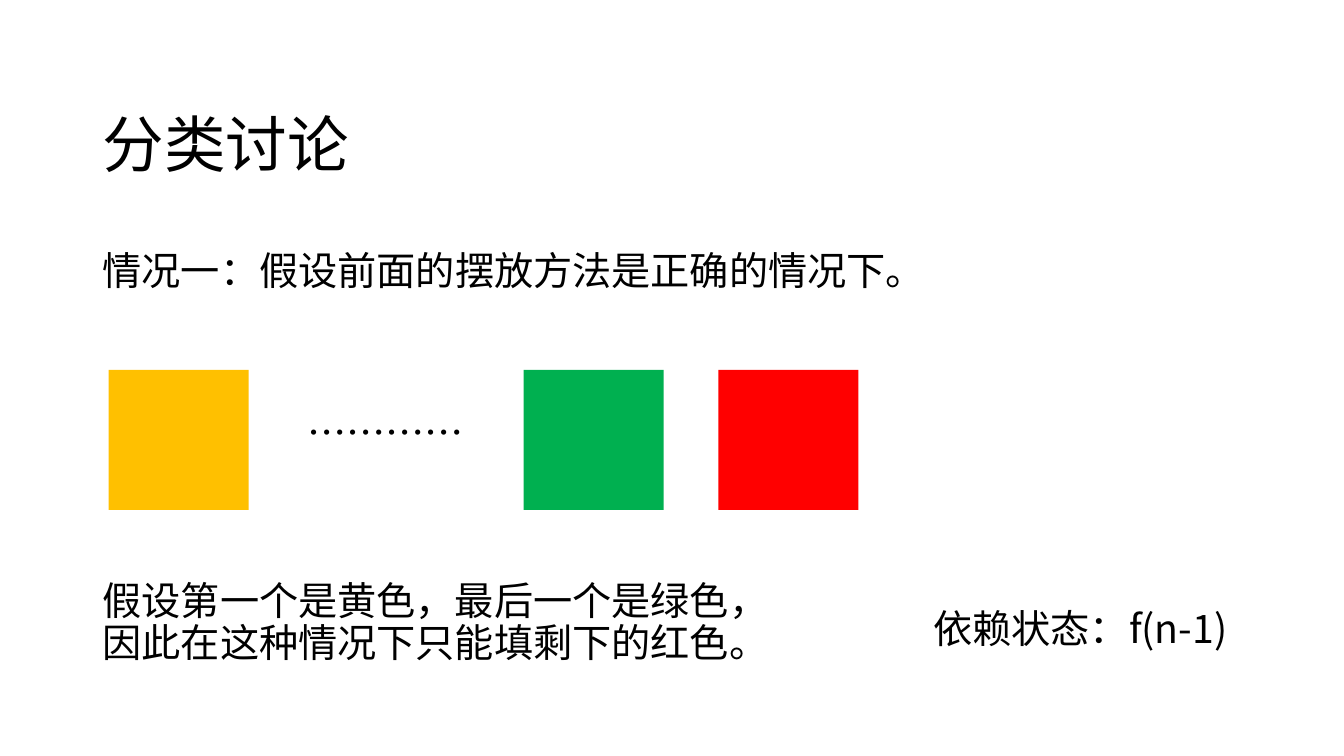
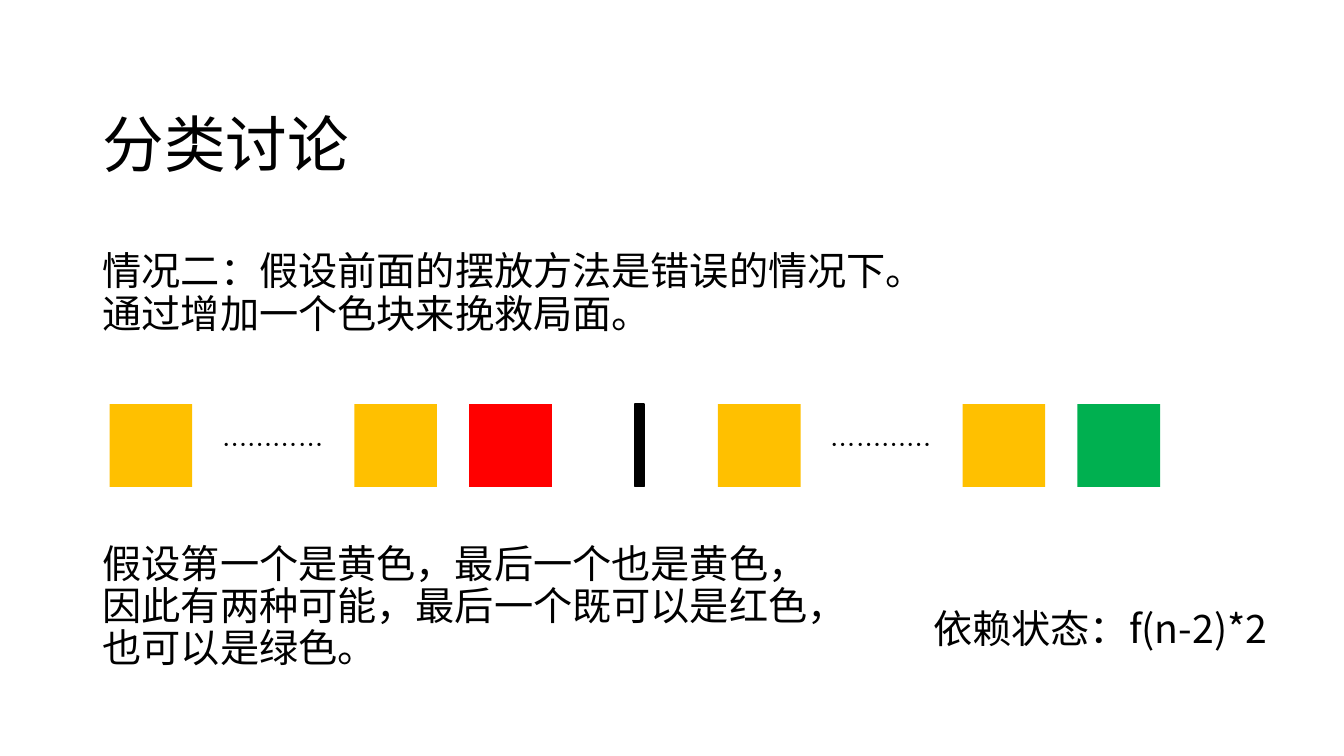
from pptx import Presentation
from pptx.dml.color import RGBColor
from pptx.enum.shapes import MSO_SHAPE
from pptx.enum.text import MSO_ANCHOR, PP_ALIGN
from pptx.oxml.ns import qn
from pptx.util import Inches, Pt
from lxml import etree

SLIDE_W, SLIDE_H = Inches(13.33), Inches(7.5)
FONT = "Noto Sans CJK SC"
BLACK = RGBColor(0, 0, 0)
YELLOW = RGBColor(0xFF, 0xC0, 0x00)
GREEN = RGBColor(0x00, 0xB0, 0x50)
RED = RGBColor(0xFF, 0x00, 0x00)
TITLE_SIZE, BODY_SIZE = 44, 28
MARGIN, FULL_WIDTH = 6.9, 86.25  # percent of the slide width


def x(percent):
    """Share of the slide width, in percent."""
    return round(SLIDE_W * percent / 100)


def y(percent):
    """Share of the slide height, in percent."""
    return round(SLIDE_H * percent / 100)


def add_text(slide, text, left, top, width, height, size=BODY_SIZE,
             space_before=10, anchor=MSO_ANCHOR.TOP, align=PP_ALIGN.LEFT):
    """Add one wrapped paragraph; lengths are EMU."""
    frame = slide.shapes.add_textbox(left, top, width, height).text_frame
    frame.word_wrap = True
    frame.vertical_anchor = anchor
    paragraph = frame.paragraphs[0]
    paragraph.text = text
    paragraph.alignment = align
    paragraph.line_spacing = 0.9
    paragraph.space_before = Pt(space_before)
    paragraph._p.get_or_add_pPr().set("hangingPunct", "1")
    for run in paragraph.runs:
        run.font.size = Pt(size)
        run.font.name = FONT
        run.font.color.rgb = BLACK
        east_asian = etree.SubElement(run.font._element, qn("a:ea"))
        east_asian.set("typeface", FONT)


def add_rect(slide, left, top, width, height, color):
    """Add a plain rectangle without outline; lengths are EMU."""
    rect = slide.shapes.add_shape(MSO_SHAPE.RECTANGLE, left, top, width, height)
    rect.shadow.inherit = False
    rect.fill.solid()
    rect.fill.fore_color.rgb = color
    rect.line.fill.background()
    return rect


def add_block_row(slide, left, top, side, colors, dot_size):
    """Add first block, dots and last two blocks, spaced in block sides."""
    for offset, color in zip((0, 2.96, 4.35), colors):
        add_rect(slide, left + round(offset * side), top, side, side, color)
    add_text(slide, "…………", left + round(0.89 * side), top + round(0.28 * side),
             round(2.17 * side), round(0.44 * side), dot_size,
             align=PP_ALIGN.CENTER)


def add_divider(slide, left, top, width, height):
    """Add the black bar between two alternatives."""
    bar = add_rect(slide, left, top, width, height, BLACK)
    bar.line.color.rgb = BLACK
    bar.line.width = Pt(1)


def add_case(prs, case, note, note_top, note_width, note_height, state):
    """Add a slide with title, case, explanation and dependent state."""
    slide = prs.slides.add_slide(prs.slide_layouts[6])
    add_text(slide, "分类讨论", x(MARGIN), y(9.87), x(FULL_WIDTH), y(19.33),
             TITLE_SIZE, space_before=0, anchor=MSO_ANCHOR.MIDDLE)
    add_text(slide, case, x(MARGIN), y(32.67), x(FULL_WIDTH), y(15.47))
    add_text(slide, note, x(MARGIN), y(note_top), x(note_width), y(note_height))
    add_text(slide, "依赖状态：" + state, x(68.7), y(80), x(28.5), y(10.5))
    return slide


def main():
    """Build both cases and save the presentation."""
    prs = Presentation()
    prs.slide_width, prs.slide_height = SLIDE_W, SLIDE_H

    correct = add_case(
        prs, "情况一：假设前面的摆放方法是正确的情况下。",
        "假设第一个是黄色，最后一个是绿色，因此在这种情况下只能填剩下的红色。",
        76.27, 52.65, 15.47, "f(n-1)")
    add_block_row(correct, x(8.08), y(48.93), x(10.43),
                  (YELLOW, GREEN, RED), BODY_SIZE)

    wrong = add_case(
        prs, "情况二：假设前面的摆放方法是错误的情况下。\v通过增加一个色块来挽救局面。",
        "假设第一个是黄色，最后一个也是黄色，因此有两种可能，"
        "最后一个既可以是红色，也可以是绿色。",
        71.33, 55, 20.8, "f(n-2)*2")
    row_top, side = y(53.47), x(6.15)
    for left, last in ((8.16, RED), (53.42, GREEN)):
        add_block_row(wrong, x(left), row_top, side, (YELLOW, YELLOW, last), 18)
    add_divider(wrong, x(47.25), row_top, x(0.68), side)

    prs.save("out.pptx")


main()
